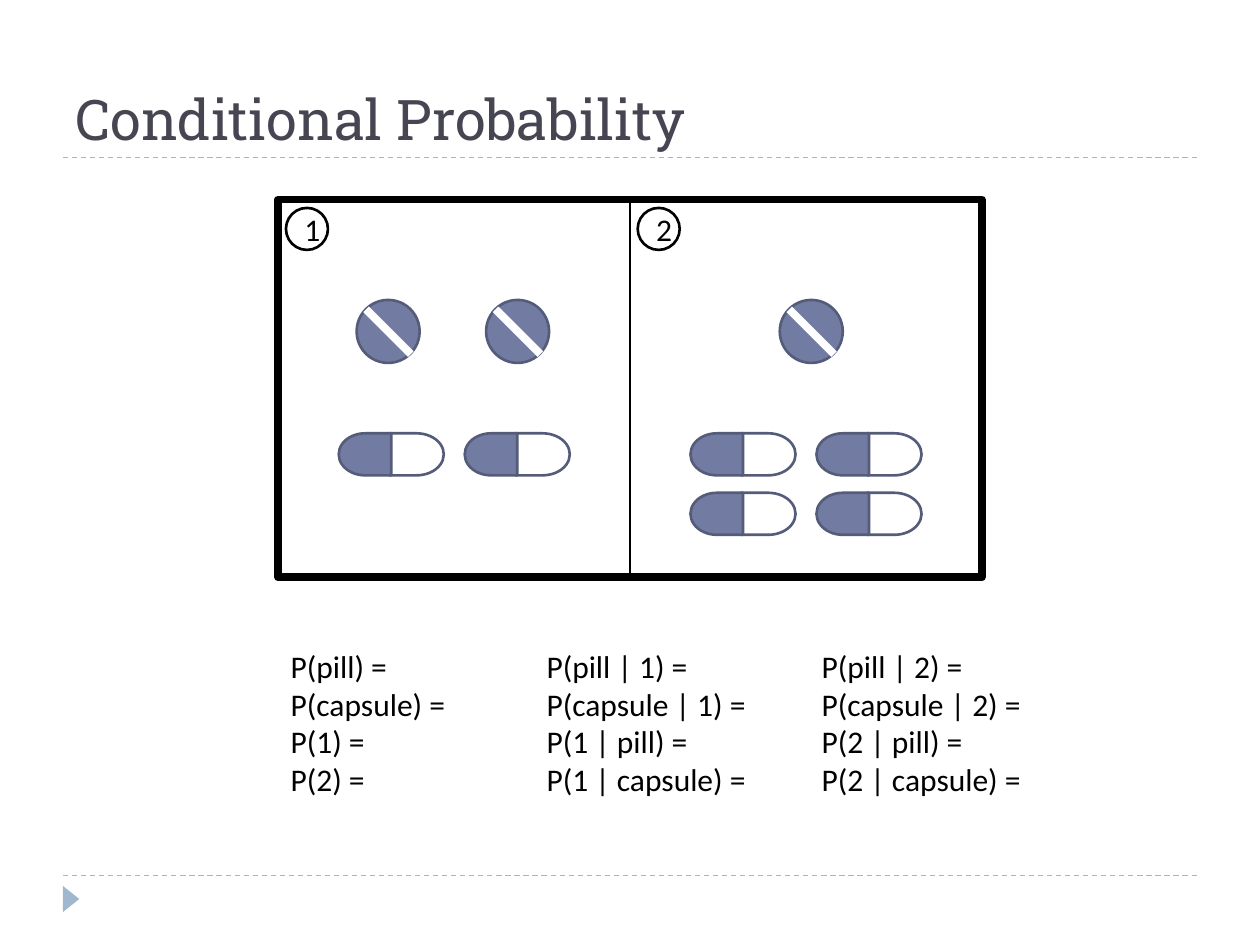
from pptx import Presentation
from pptx.dml.color import RGBColor
from pptx.enum.dml import MSO_LINE
from pptx.enum.shapes import MSO_CONNECTOR, MSO_SHAPE
from pptx.enum.text import MSO_ANCHOR, MSO_AUTO_SIZE, PP_ALIGN
from pptx.oxml.ns import qn
from pptx.util import Pt
from lxml.etree import SubElement

COLORS = {
    "title": "464653", "rule": "9FB8CD", "ink": "000000",
    "pill": "727CA3", "edge": "545C79", "white": "FFFFFF",
}


def rgb(name):
    return RGBColor.from_string(COLORS[name])


def add_shape(shapes, kind, x, y, w, h, fill=None, line=None, weight=1.5):
    sp = shapes.add_shape(kind, Pt(x), Pt(y), Pt(w), Pt(h))
    sp.shadow.inherit = False
    if fill:
        sp.fill.solid()
        sp.fill.fore_color.rgb = rgb(fill)
    else:
        sp.fill.background()
    if line:
        sp.line.color.rgb = rgb(line)
        sp.line.width = Pt(weight)
    else:
        sp.line.fill.background()
    return sp


def add_line(shapes, x1, y1, x2, y2, color, weight, dash=None):
    ln = shapes.add_connector(MSO_CONNECTOR.STRAIGHT, Pt(x1), Pt(y1), Pt(x2), Pt(y2))
    SubElement(ln._element.spPr, qn("a:effectLst"))
    ln.line.color.rgb = rgb(color)
    ln.line.width = Pt(weight)
    if dash:
        ln.line.dash_style = dash
    return ln


def write(tf, lines, color="ink", align=PP_ALIGN.LEFT, **font):
    for i, text in enumerate(lines):
        p = tf.paragraphs[0] if i == 0 else tf.add_paragraph()
        p.alignment = align
        r = p.add_run()
        r.text = text
        for key, value in ({"name": "Calibri", "size": Pt(18)} | font).items():
            setattr(r.font, key, value)
        r.font.color.rgb = rgb(color)


def add_frame(s, x, y, w, h):
    """Title, the two dashed rules and the footer marker."""
    for rule_y in (y, y + h):
        add_line(s.shapes, x, rule_y, x + w, rule_y, "rule", 0.75, MSO_LINE.DASH)
    marker = add_shape(s.shapes, MSO_SHAPE.ISOSCELES_TRIANGLE,
                       x - 2.9, y + h + 8.6, 15, 9.4, fill="rule")
    marker.rotation = 90
    tf = s.shapes.add_textbox(Pt(x), Pt(y - 78), Pt(w), Pt(78)).text_frame
    tf.word_wrap = True
    tf.vertical_anchor = MSO_ANCHOR.BOTTOM
    write(tf, ["Conditional Probability"], "title", name="Roboto Slab", size=Pt(32))


def add_pill(s, x, y, size=36):
    shapes = s.shapes.add_group_shape().shapes
    add_shape(shapes, MSO_SHAPE.OVAL, x, y, size, size, "pill", "edge")
    near, far = size * 0.15, size * 0.86
    add_line(shapes, x + near, y + near, x + far, y + far, "white", 4.5)


def add_capsule(s, x, y, w=60, h=24):
    shapes = s.shapes.add_group_shape().shapes
    half = w / 2
    add_shape(shapes, MSO_SHAPE.FLOWCHART_DELAY, x + half - 1, y, half + 1, h, line="edge")
    left = add_shape(shapes, MSO_SHAPE.FLOWCHART_DELAY, x, y, half, h, "pill", "edge")
    left._element.spPr.find(qn("a:xfrm")).set("flipH", "1")


def add_compartment(s, x, y, number, pill_offsets, capsule_rows):
    """One numbered half of the cabinet, with its pills and capsules."""
    badge = add_shape(s.shapes, MSO_SHAPE.OVAL, x + 4.4, y + 4.8, 24, 24, line="ink")
    badge.text_frame.vertical_anchor = MSO_ANCHOR.MIDDLE
    write(badge.text_frame, [number], align=PP_ALIGN.CENTER)
    for dx in pill_offsets:
        add_pill(s, x + dx, y + 57.4)
    for row in range(capsule_rows):
        for col in range(2):
            add_capsule(s, x + 34.6 + 72 * col, y + 133.6 + 34 * row)


def add_cabinet(s, x, y, w, h):
    box = add_shape(s.shapes, MSO_SHAPE.RECTANGLE, x, y, w, h, line="ink", weight=4.5)
    middle = x + w / 2
    divider = add_line(s.shapes, middle, y, middle, y + h, "ink", 1.5)
    divider.begin_connect(box, 0)
    divider.end_connect(box, 2)
    add_compartment(s, x, y, "1", (44.8, 118.8), 1)
    add_compartment(s, middle, y, "2", (85.6,), 2)


def add_formulas(s, x, y, w, h, lines):
    tf = s.shapes.add_textbox(Pt(x), Pt(y), Pt(w), Pt(h)).text_frame
    tf.word_wrap = False
    tf.auto_size = MSO_AUTO_SIZE.SHAPE_TO_FIT_TEXT
    write(tf, lines)


def main():
    prs = Presentation()
    prs.slide_width, prs.slide_height = Pt(720), Pt(540)
    s = prs.slides.add_slide(prs.slide_layouts[6])

    add_frame(s, 36, 90, 648, 410.4)
    add_cabinet(s, 159, 114, 402, 216)

    # Plain probabilities, then those conditional on each compartment
    add_formulas(s, 159, 366, 109.4, 94.3,
                 ["P(pill) =", "P(capsule) =", "P(1) =", "P(2) ="])
    for n, x in ((1, 305.2), (2, 462.4)):
        add_formulas(s, x, 366, 133.2, 94.3,
                     [f"P(pill | {n}) =", f"P(capsule | {n}) =",
                      f"P({n} | pill) =", f"P({n} | capsule) ="])

    prs.save("out.pptx")


if __name__ == "__main__":
    main()
